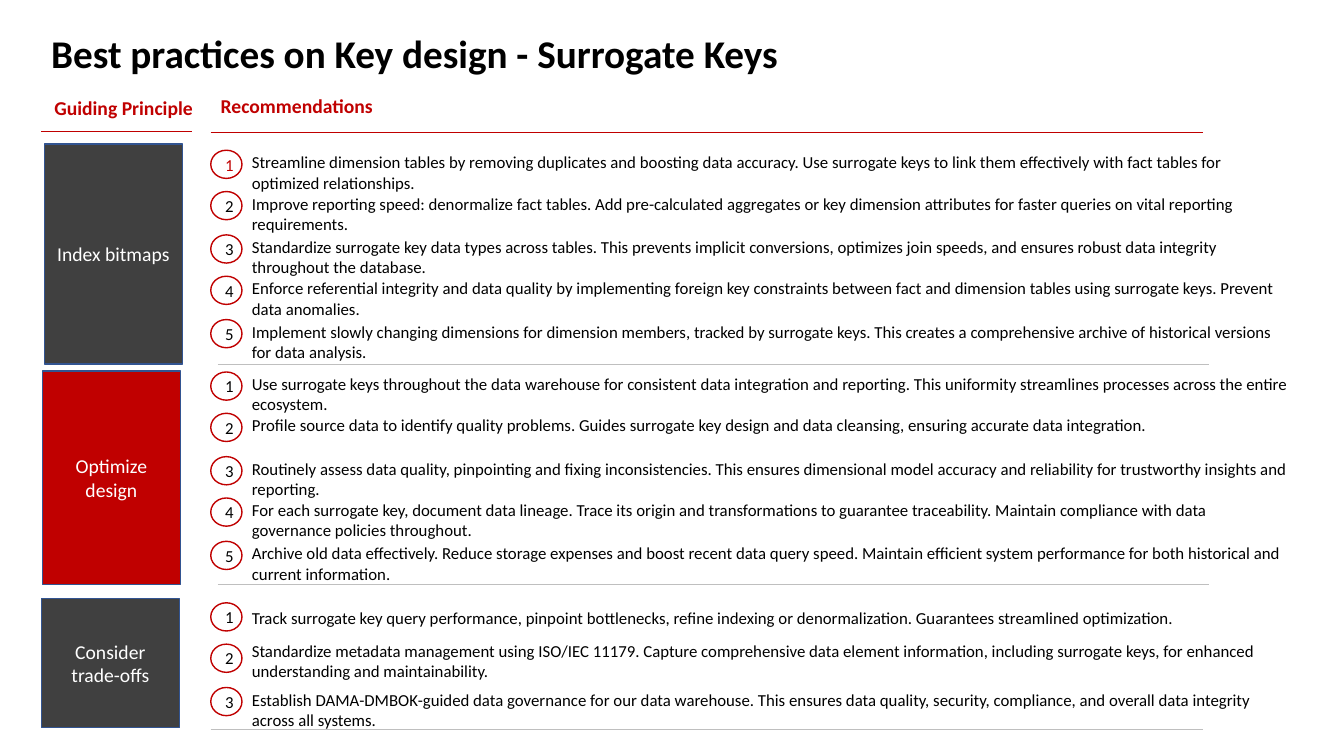
"""Build the slide on best practices for surrogate key design."""
import dataclasses

import pptx
import pptx.dml.color
import pptx.enum.shapes
import pptx.enum.text
import pptx.oxml
import pptx.oxml.ns
import pptx.util

SCALE = 9144
STEPS = (0, 41, 84, 125, 168)


@dataclasses.dataclass(frozen=True)
class Theme:
    font: str = "Calibri"
    black: str = "000000"
    white: str = "FFFFFF"
    red: str = "C00000"
    dark: str = "404040"
    blue: str = "325491"
    gray: str = "BFBFBF"
    title: int = 28
    head: int = 14
    body: int = 12
    edge: float = 1
    rule: float = 0.5


THEME = Theme()

GROUPS = [
    dict(name="Index bitmaps", box=(44, 143, 137, 218), fill=THEME.dark,
         top=149, shifts=(-3, -3, -3, -3, -3), rule=(216, 1199, 361), first=THEME.red,
         items=[
             "Streamline dimension tables by removing duplicates and boosting data accuracy. Use surrogate keys to link them effectively with fact tables for optimized relationships.",
             "Improve reporting speed: denormalize fact tables. Add pre-calculated aggregates or key dimension attributes for faster queries on vital reporting requirements.",
             "Standardize surrogate key data types across tables. This prevents implicit conversions, optimizes join speeds, and ensures robust data integrity throughout the database.",
             "Enforce referential integrity and data quality by implementing foreign key constraints between fact and dimension tables using surrogate keys. Prevent data anomalies.",
             "Implement slowly changing dimensions for dimension members, tracked by surrogate keys. This creates a comprehensive archive of historical versions for data analysis.",
         ]),
    dict(name="Optimize design", box=(42, 368, 137, 212), fill=THEME.red,
         top=369, shifts=(-3, -3, -3, -3, -3), rule=(216, 1199, 580), first=THEME.black,
         items=[
             "Use surrogate keys throughout the data warehouse for consistent data integration and reporting. This uniformity streamlines processes across the entire ecosystem.",
             "Profile source data to identify quality problems. Guides surrogate key design and data cleansing, ensuring accurate data integration.",
             "Routinely assess data quality, pinpointing and fixing inconsistencies. This ensures dimensional model accuracy and reliability for trustworthy insights and reporting.",
             "For each surrogate key, document data lineage. Trace its origin and transformations to guarantee traceability. Maintain compliance with data governance policies throughout.",
             "Archive old data effectively. Reduce storage expenses and boost recent data query speed. Maintain efficient system performance for both historical and current information.",
         ]),
    dict(name="Consider trade-offs", box=(41, 594, 137, 128), fill=THEME.dark,
         top=598, shifts=(0, -8, -3), rule=(209, 1193, 724), first=THEME.black,
         items=[
             "Track surrogate key query performance, pinpoint bottlenecks, refine indexing or denormalization. Guarantees streamlined optimization.",
             "Standardize metadata management using ISO/IEC 11179. Capture comprehensive data element information, including surrogate keys, for enhanced understanding and maintainability.",
             "Establish DAMA-DMBOK-guided data governance for our data warehouse. This ensures data quality, security, compliance, and overall data integrity across all systems.",
         ]),
]


def px(*sizes):
    return [pptx.util.Emu(size * SCALE) for size in sizes]


def tint(code):
    return pptx.dml.color.RGBColor.from_string(code)


def add_run(para, words, size, color, bold=False):
    run = para.add_run()
    run.text = words
    run.font.name = THEME.font
    run.font.size = pptx.util.Pt(size)
    run.font.bold = bold
    run.font.color.rgb = tint(color)


def add_text(slide, box, words, size, color, bold=False):
    frame = slide.shapes.add_textbox(*px(*box)).text_frame
    frame.word_wrap = True
    frame.auto_size = pptx.enum.text.MSO_AUTO_SIZE.SHAPE_TO_FIT_TEXT
    add_run(frame.paragraphs[0], words, size, color, bold)


def add_shape(slide, kind, box, fill, edge, words, size, color):
    shape = slide.shapes.add_shape(kind, *px(*box))
    shape.shadow.inherit = False
    shape.fill.solid()
    shape.fill.fore_color.rgb = tint(fill)
    shape.line.color.rgb = tint(edge)
    shape.line.width = pptx.util.Pt(THEME.edge)
    frame = shape.text_frame
    frame.word_wrap = True
    frame.vertical_anchor = pptx.enum.text.MSO_ANCHOR.MIDDLE
    para = frame.paragraphs[0]
    para.alignment = pptx.enum.text.PP_ALIGN.CENTER
    add_run(para, words, size, color)


def add_rule(slide, left, right, top, color):
    line = slide.shapes.add_connector(
        pptx.enum.shapes.MSO_CONNECTOR.STRAIGHT, *px(left, top, right, top))
    line.line.color.rgb = tint(color)
    line.line.width = pptx.util.Pt(THEME.rule)
    props = line._element.spPr
    props.append(pptx.oxml.parse_xml(
        f"<a:effectLst {pptx.oxml.ns.nsdecls('a')}/>"))


def add_item(slide, number, top, shift, words, color):
    add_shape(slide, pptx.enum.shapes.MSO_SHAPE.OVAL, (209, top, 31, 28),
              THEME.white, THEME.red, str(number), THEME.body, color)
    add_text(slide, (240, top + shift, 1050, 30), words, THEME.body, THEME.black)


def add_group(slide, group):
    rows = zip(STEPS, group["shifts"], group["items"])
    for number, (step, shift, words) in enumerate(rows, 1):
        color = group["first"] if number == 1 else THEME.black
        add_item(slide, number, group["top"] + step, shift, words, color)
    add_rule(slide, *group["rule"], THEME.gray)
    add_shape(slide, pptx.enum.shapes.MSO_SHAPE.RECTANGLE, group["box"],
              group["fill"], THEME.blue, group["name"], THEME.head, THEME.white)


def main():
    deck = pptx.Presentation()
    deck.slide_width, deck.slide_height = px(1333, 750)
    slide = deck.slides.add_slide(deck.slide_layouts[6])
    add_text(slide, (41, 24, 1203, 57), "Best practices on Key design - Surrogate Keys",
             THEME.title, THEME.black, True)
    add_text(slide, (44, 90, 177, 34), "Guiding Principle", THEME.head, THEME.red, True)
    add_text(slide, (209, 88, 996, 34), "Recommendations", THEME.head, THEME.red, True)
    add_rule(slide, 41, 190, 130, THEME.red)
    add_rule(slide, 209, 1193, 131, THEME.red)
    for group in GROUPS:
        add_group(slide, group)
    deck.save("out.pptx")


if __name__ == "__main__":
    main()
